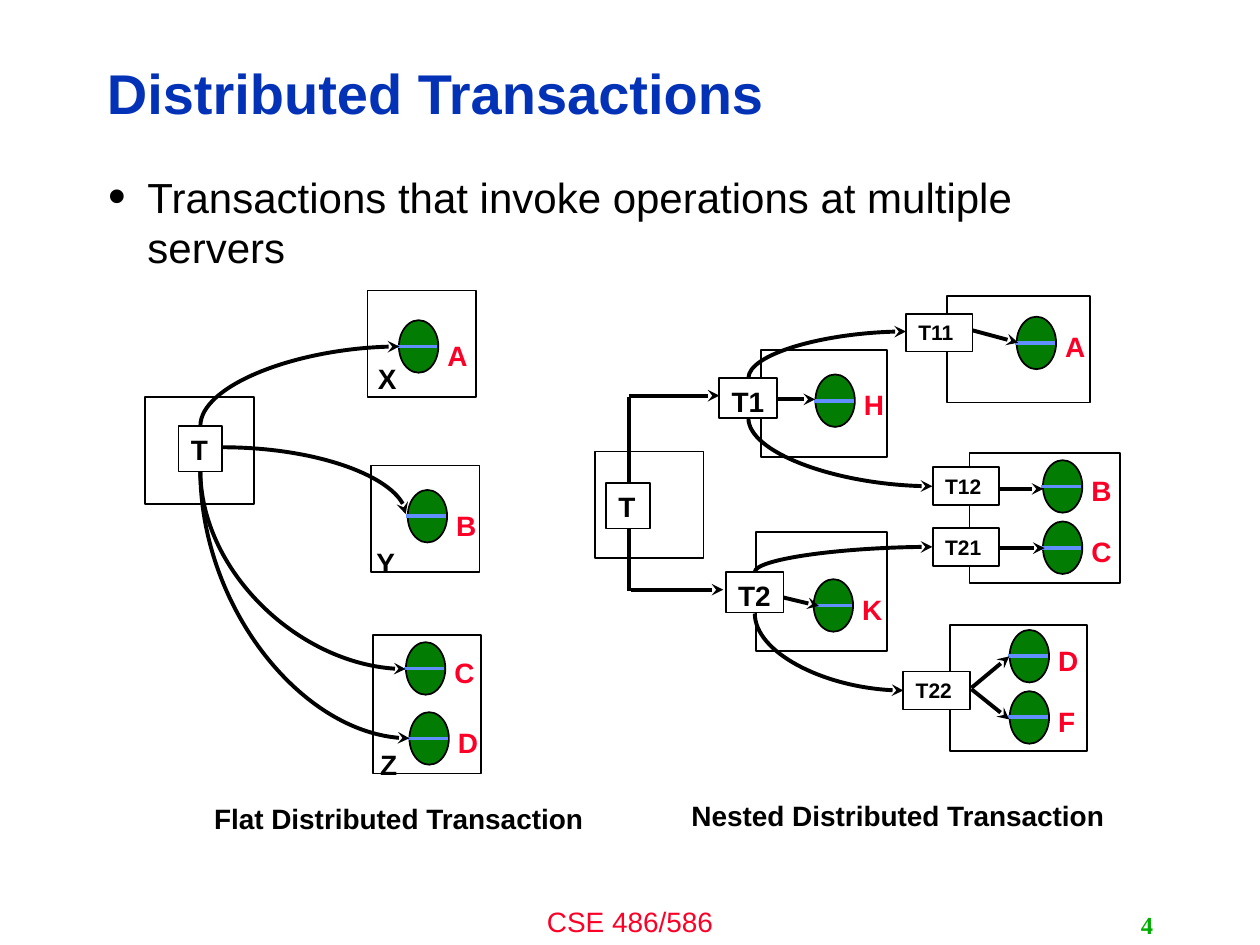
from pptx import Presentation
from pptx.dml.color import RGBColor
from pptx.enum import shapes as es, text as et
from pptx.oxml.ns import qn
from pptx.util import Pt
from lxml import etree

INK = dict(black="000000", white="FFFFFF", blue="0332B7", red="FC0128",
           green="037C03", lime="00AE00", sky="618FFD")

FRAMES = [
    (83, 227, 62, 61), (210, 166, 62, 61), (212, 266, 62, 61),
    (213, 363, 62, 79), (340, 258, 62, 61), (435, 200, 72, 61),
    (432, 304, 75, 68), (541, 169, 82, 61), (554, 259, 86, 74),
    (543, 357, 78, 72),
]
DISKS = [
    ("A", 228, 183), ("B", 233, 280), ("C", 232, 367), ("D", 234, 407),
    ("A", 581, 181), ("B", 596, 263), ("C", 596, 298), ("D", 577, 360),
    ("F", 577, 395), ("H", 466, 214), ("K", 465, 331),
]
RISE = {"A": 183, "B": 280}
BOXES = [
    ("T", 102, 243.4), ("T", 346.3, 276), ("T1", 411, 216),
    ("T2", 414.7, 327), ("T11", 517.7, 179.3), ("T12", 533, 267),
    ("T21", 533, 301.7), ("T22", 516.2, 383.8),
]
SIZES = {1: (25, 26, 16), 2: (33, 23, 16), 3: (38, 21.6, 12)}
SERVERS = [("X", 208.8, 203), ("Y", 208, 308.2), ("Z", 210.2, 423.4)]
CAPTIONS = [("Flat Distributed Transaction", 115.2, 454.3),
            ("Nested Distributed Transaction", 388, 452.9)]

BENDS = [
    (114.5, 243.4, 228.2, 198), (114.5, 268.6, 231.8, 382.3),
    (114.5, 268.6, 234, 421.9), (431.3, 350.6, 516.2, 394.6),
    (427.7, 216, 517.7, 189.4), (427.7, 239, 532.8, 277.9),
    (431.3, 326.9, 532.8, 312.5),
]
SWEEP = (126.7, 255.6, 231.8, 293.8)
STEMS = [(359.3, 275.8, 359.3, 226.8), (359.3, 337.7, 359.3, 301.7)]
ARROWS = [
    (444.2, 228.2, 465.8, 228.2), (359.3, 226.1, 411.1, 226.1),
    (360.7, 337, 413.3, 337), (447.1, 341.3, 468, 346.3),
    (555.1, 188.6, 581.8, 195.8), (571, 279.4, 596.2, 279.4),
    (571, 313.2, 596.9, 313.2), (555.1, 393.1, 576.7, 375.1),
    (555.1, 393.8, 576.7, 411.1),
]

deck = Presentation()
deck.slide_width, deck.slide_height = Pt(720), Pt(540)
page = deck.slides.add_slide(deck.slide_layouts[6]).shapes


def tint(name):
    return RGBColor.from_string(INK[name])


def write(item, words, size, color="black", bold=True, face="Arial",
          align=et.PP_ALIGN.LEFT, anchor=et.MSO_ANCHOR.TOP, wrap=True, right=7.2):
    frame = item.text_frame
    frame.text = words
    frame.word_wrap = wrap
    frame.vertical_anchor = anchor
    frame.margin_right = Pt(right)
    para = frame.paragraphs[0]
    para.alignment = align
    font = para.runs[0].font
    font.size, font.bold, font.name = Pt(size), bold, face
    font.color.rgb = tint(color)
    return para


def label(words, x, y, w, h, size, *args, **opts):
    box = page.add_textbox(Pt(x), Pt(y), Pt(w), Pt(h))
    return write(box, words, size, *args, **opts)


def block(kind, x, y, w, h, fill=None):
    item = page.add_shape(kind, Pt(x), Pt(y), Pt(w), Pt(h))
    item.shadow.inherit = False
    if fill:
        item.fill.solid()
        item.fill.fore_color.rgb = tint(fill)
    else:
        item.fill.background()
    item.line.color.rgb = tint("black")
    item.line.width = Pt(1)
    return item


def link(ends, color="black", arrow=True, kind=es.MSO_CONNECTOR.STRAIGHT):
    wire = page.add_connector(kind, *map(Pt, ends))
    wire.line.color.rgb = tint(color)
    wire.line.width = Pt(2.25)
    props = wire._element.spPr
    etree.SubElement(props, qn("a:effectLst"))
    if arrow:
        etree.SubElement(props.find(qn("a:ln")), qn("a:tailEnd"), type="stealth")
    return props


def curve(ends):
    props = link(ends, kind=es.MSO_CONNECTOR.CURVE)
    props.find(qn("a:prstGeom")).set("prst", "curvedConnector2")
    return props


def bend(x1, y1, x2, y2):
    mx, my = (x1 + x2) / 2, (y1 + y2) / 2
    dx, dy = (y1 - y2) / 2, (x2 - x1) / 2
    props = curve((mx - dx, my - dy, mx + dx, my + dy))
    props.find(qn("a:xfrm")).set("rot", str(270 * 60000))


label("Distributed Transactions", 54, 26, 574.5, 58.3, 32, "blue",
      anchor=et.MSO_ANCHOR.MIDDLE).line_spacing = 0.9

body = label("Transactions that invoke operations at multiple servers",
             54.7, 94.3, 604.8, 388, 24, bold=False)
marks = body._p.get_or_add_pPr()
marks.set("marL", str(Pt(22.5)))
marks.set("indent", str(Pt(-22.5)))
shade = etree.SubElement(marks, qn("a:buClr"))
etree.SubElement(shade, qn("a:srgbClr"), val=INK["black"])
etree.SubElement(marks, qn("a:buSzPct"), val="120000")
etree.SubElement(marks, qn("a:buFont"), typeface="Arial")
etree.SubElement(marks, qn("a:buChar"), char="•")

for spot in FRAMES:
    block(es.MSO_SHAPE.RECTANGLE, *spot)
for name, x, y in DISKS:
    block(es.MSO_SHAPE.OVAL, x, y, 22.5, 30, "green")
    link((x - 1, y + 15, x + 22, y + 15), "sky", False)
    drop = 7 if RISE.get(name) == y else 4
    label(name, x + 20.5, y + drop, 23, 22, 16, "red", right=0)
for ends in BENDS:
    bend(*ends)
curve(SWEEP)
for ends in STEMS:
    link(ends, arrow=False)
for ends in ARROWS:
    link(ends)
for name, x, y in BOXES:
    w, h, size = SIZES[len(name)]
    write(block(es.MSO_SHAPE.RECTANGLE, x, y, w, h, "white"), name, size, right=0)
for name, x, y in SERVERS:
    label(name, x, y, 22, 22, 16, right=0)
for words, x, y in CAPTIONS:
    label(words, x, y, 257.8, 24.5, 16)

label("CSE 486/586", 240, 513.4, 240, 26.6, 16, "red", False,
      align=et.PP_ALIGN.CENTER)
label("4", 516.2, 517, 149.8, 23, 14, "lime", face="Times New Roman",
      align=et.PP_ALIGN.RIGHT, anchor=et.MSO_ANCHOR.MIDDLE, wrap=False)

deck.save("out.pptx")
